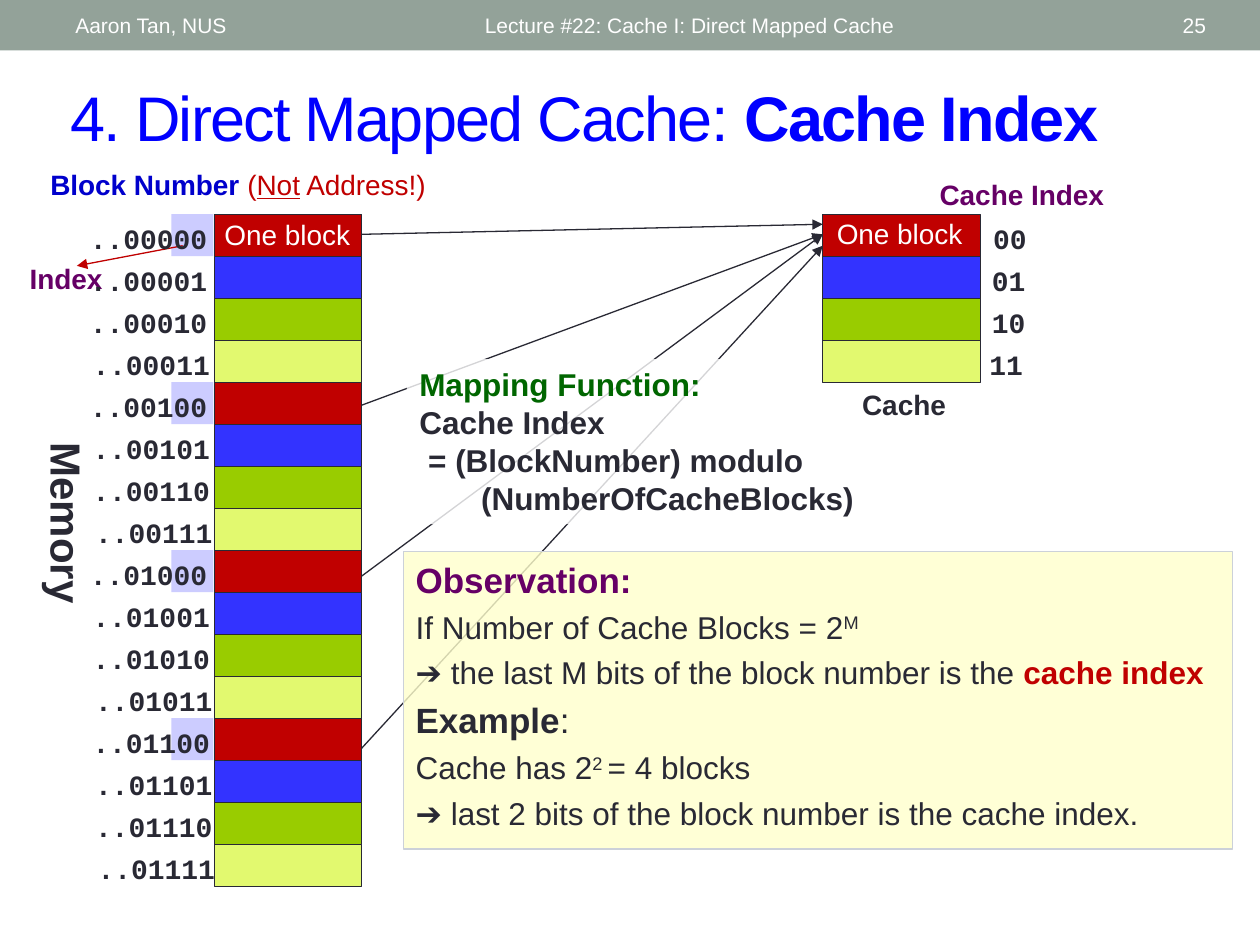
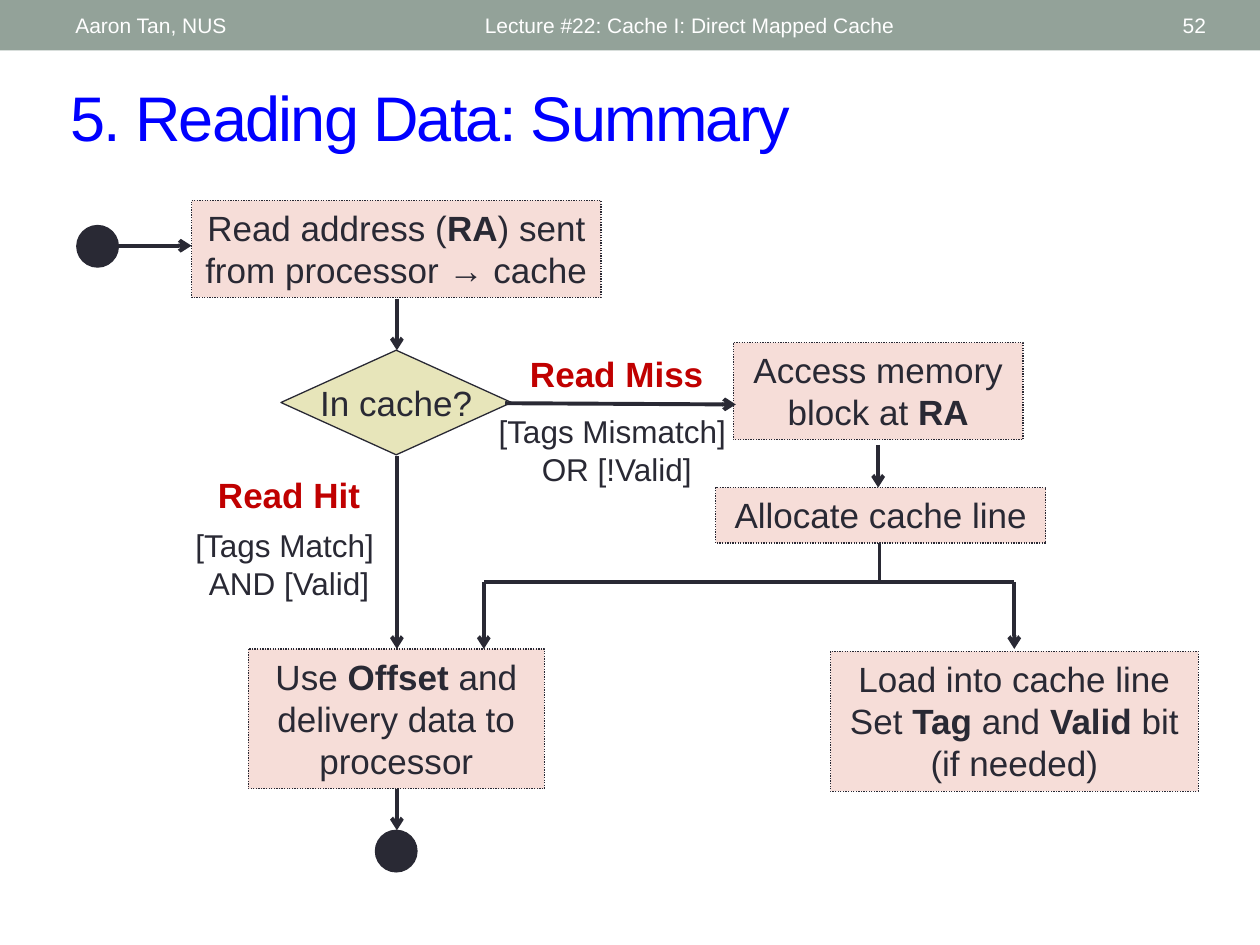
import pptx
import pptx.dml.color
import pptx.enum.dml
import pptx.enum.shapes
import pptx.enum.text
import pptx.oxml.ns
import pptx.util
import lxml.etree

Inches = pptx.util.Inches
Pt = pptx.util.Pt
RGBColor = pptx.dml.color.RGBColor
SHAPE = pptx.enum.shapes.MSO_SHAPE
ALIGN = pptx.enum.text.PP_ALIGN
ANCHOR = pptx.enum.text.MSO_ANCHOR

INK = RGBColor(0x29, 0x29, 0x34)
WHITE = RGBColor(0xFF, 0xFF, 0xFF)
BAND = RGBColor(0x93, 0xA2, 0x99)
TITLE_BLUE = RGBColor(0x00, 0x00, 0xFF)
LABEL_BLUE = RGBColor(0x00, 0x00, 0xCC)
RED = RGBColor(0xC0, 0x00, 0x00)
PURPLE = RGBColor(0x66, 0x00, 0x66)
GREEN = RGBColor(0x00, 0x66, 0x00)
LILAC = RGBColor(0xCC, 0xCC, 0xFF)
CREAM = RGBColor(0xFF, 0xFF, 0xCC)
CREAM_EDGE = RGBColor(0xCC, 0xD1, 0xD9)
STEP_PINK = RGBColor(0xF6, 0xDD, 0xD8)
DECISION = RGBColor(0xE7, 0xE5, 0xBA)
BLOCK_COLORS = [RED, RGBColor(0x33, 0x33, 0xFF), RGBColor(0x99, 0xCC, 0x00), RGBColor(0xE2, 0xF9, 0x6F)]

AUTHOR = "Aaron Tan, NUS"
LECTURE = "Lecture #22: Cache I: Direct Mapped Cache"
BOLD = {"bold": True}
HEADING = {"size": 20, "bold": True}
SUPER = {"baseline": 30000}

MEMORY_BLOCKS = 16
CELL = 1 / 3
BLOCKS_TOP = 1.7
MEMORY_LEFT, MEMORY_WIDTH = 1.7, 1.17
CACHE_LEFT, CACHE_WIDTH = 6.53, 1.25
CACHE_INDEXES = [("00", 7.78), ("01", 7.77), ("10", 7.77), ("11", 7.75)]
MAPPING_ARROWS = [(1.86, 1.78), (3.22, 1.86), (4.58, 1.86), (5.95, 1.95)]
MAPPING = [
    [("Mapping Function:", {"color": GREEN})],
    ["Cache Index"],
    ["= (BlockNumber) modulo"],
    ["(NumberOfCacheBlocks)"],
]
MAPPING_INDENTS = [0, 0, 0.07, 0.49]
OBSERVATION = [
    [("Observation:", HEADING | {"color": PURPLE})],
    ["If Number of Cache Blocks = 2", ("M", SUPER)],
    ["➔ the last M bits of the block number is the ", ("cache index", {"color": RED, "bold": True})],
    [("Example", HEADING), (":", {"size": 20})],
    ["Cache has 2", ("2 ", SUPER), "= 4 blocks"],
    ["➔ last 2 bits of the block number is the cache index."],
]
BLOCK_NUMBER = [[
    ("Block Number ", {"color": LABEL_BLUE, "bold": True}),
    "(", ("Not", {"underline": True}), " Address!) ",
]]

STEPS = [
    ((1.52, 1.59, 3.25, 0.77), [["Read address (", ("RA", BOLD), ") sent from processor → cache"]]),
    ((5.82, 2.72, 2.3, 0.77), [["Access memory block at ", ("RA", BOLD)]]),
    ((1.97, 5.15, 2.35, 1.11), [["Use ", ("Offset", BOLD), " and delivery data to processor"]]),
    ((6.59, 5.17, 2.92, 1.11), [
        ["Load into cache line"],
        ["Set ", ("Tag", BOLD), " and ", ("Valid ", BOLD), "bit (if needed)"],
    ]),
    ((5.68, 3.87, 2.62, 0.44), [["Allocate cache line"]]),
]
TERMINALS = [(0.61, 1.79), (2.98, 6.59)]
FLOW_ARROWS = [
    (0.78, 1.95, 1.52, 1.95),
    (4.01, 3.2, 5.84, 3.21),
    (3.15, 2.37, 3.15, 2.78),
    (3.15, 3.62, 3.15, 5.15),
    (6.97, 3.53, 6.97, 3.87),
    (8.05, 4.62, 8.05, 5.15),
    (3.84, 4.62, 3.84, 5.15),
    (3.15, 6.26, 3.15, 6.59),
]
FORK_LINES = [(8.05, 4.62, 3.84, 4.62), (6.98, 4.2, 6.98, 4.62)]
OUTCOMES = [
    ((1.21, 3.71, 2.17, 1.13), "Read Hit", "[Tags Match] \nAND [Valid]", 6),
    ((3.81, 2.75, 2.17, 1.19), "Read Miss", "[Tags Mismatch] \nOR [!Valid]", 10),
]


def add_run(paragraph, text, size, color, bold=False, font="Arial", underline=None, baseline=None, spacing=None):
    for number, line in enumerate(text.split("\n")):
        if number:
            paragraph.add_line_break()
        run = paragraph.add_run()
        run.text = line
        run.font.name = font
        run.font.size = Pt(size)
        run.font.bold = bold
        run.font.underline = underline
        run.font.color.rgb = color
        properties = run.font._element
        if baseline:
            properties.set("baseline", str(baseline))
        if spacing:
            properties.set("spc", str(spacing))


def write(shape, paragraphs, align=ALIGN.LEFT, anchor=ANCHOR.TOP, wrap=True, gap=0, **style):
    frame = shape.text_frame
    frame.word_wrap = wrap
    frame.vertical_anchor = anchor
    for number, runs in enumerate(paragraphs):
        paragraph = frame.add_paragraph() if number else frame.paragraphs[0]
        paragraph.alignment = align
        paragraph.space_before = Pt(gap)
        for run in runs:
            text, changes = (run, {}) if isinstance(run, str) else run
            add_run(paragraph, text, **(style | changes))


def add_text(slide, box, paragraphs, **style):
    if isinstance(paragraphs, str):
        paragraphs = [[paragraphs]]
    textbox = slide.shapes.add_textbox(*map(Inches, box))
    write(textbox, paragraphs, **style)
    return textbox


def add_label(slide, box, paragraphs, **style):
    style = {"size": 16, "color": INK, "bold": True, "wrap": False} | style
    return add_text(slide, box, paragraphs, align=ALIGN.CENTER, **style)


def add_box(slide, box, fill, line=None, kind=SHAPE.RECTANGLE, opacity=None):
    shape = slide.shapes.add_shape(kind, *map(Inches, box))
    shape.shadow.inherit = False
    shape.fill.solid()
    shape.fill.fore_color.rgb = fill
    if opacity:
        color = shape._element.spPr.find(".//" + pptx.oxml.ns.qn("a:srgbClr"))
        lxml.etree.SubElement(color, pptx.oxml.ns.qn("a:alpha")).set("val", str(opacity * 1000))
    if line is None:
        shape.line.fill.background()
    else:
        shape.line.color.rgb = line
        shape.line.width = Pt(0.75)
    return shape


def add_line(slide, ends, color=INK, width=0.75, head=None):
    connector = slide.shapes.add_connector(pptx.enum.shapes.MSO_CONNECTOR.STRAIGHT, *map(Inches, ends))
    connector.line.color.rgb = color
    connector.line.width = Pt(width)
    properties = connector._element.spPr
    if head:
        outline = properties.find(pptx.oxml.ns.qn("a:ln"))
        lxml.etree.SubElement(outline, pptx.oxml.ns.qn("a:tailEnd")).set("type", head)
    lxml.etree.SubElement(properties, pptx.oxml.ns.qn("a:effectLst"))


def add_base_slide(presentation, number, title):
    slide = presentation.slides.add_slide(presentation.slide_layouts[6])
    add_box(slide, (0, 0, 10, 0.4), BAND)
    add_text(slide, (0.46, 0.57, 9.21, 0.7), [title], anchor=ANCHOR.MIDDLE, size=36, color=TITLE_BLUE, spacing=-100)
    for left, width, text, align in [
        (3.75, 4.5, LECTURE, ALIGN.LEFT),
        (8.72, 0.95, str(number), ALIGN.RIGHT),
        (0.5, 3.17, AUTHOR, ALIGN.LEFT),
    ]:
        add_text(slide, (left, 0.02, width, 0.36), text, align=align, anchor=ANCHOR.MIDDLE, size=12, color=WHITE)
    return slide


def add_blocks(slide, left, width, count):
    for index in range(count):
        color = BLOCK_COLORS[index % len(BLOCK_COLORS)]
        add_box(slide, (left, BLOCKS_TOP + index * CELL, width, CELL), color, INK)


def build_cache_index(presentation):
    slide = add_base_slide(presentation, 25, ["4. Direct Mapped Cache: ", ("Cache Index", BOLD)])
    for start, end in MAPPING_ARROWS:
        add_line(slide, (2.86, start, CACHE_LEFT, end), head="triangle")

    mapping = add_box(slide, (3.23, 2.85, 3.67, 1.31), WHITE, opacity=80)
    write(mapping, MAPPING, size=18, color=INK, bold=True)
    for paragraph, indent in zip(mapping.text_frame.paragraphs, MAPPING_INDENTS):
        paragraph._p.get_or_add_pPr().set("marL", str(Inches(indent)))
    observation = add_box(slide, (3.2, 4.38, 6.58, 2.36), CREAM, CREAM_EDGE, opacity=80)
    write(observation, OBSERVATION, size=18, color=INK, gap=4.4)

    add_label(slide, (0.13, 2.03, 0.79, 0.37), "Index", color=PURPLE)

    for index, (text, left) in enumerate(CACHE_INDEXES):
        add_label(slide, (left, BLOCKS_TOP + 0.01 + index * CELL, 0.47, 0.37), text, font="Courier New")
    add_label(slide, (7.35, 1.36, 1.52, 0.37), "Cache Index", color=PURPLE)
    add_label(slide, (6.74, 3.03, 0.87, 0.37), "Cache")
    add_blocks(slide, CACHE_LEFT, CACHE_WIDTH, len(CACHE_INDEXES))

    add_blocks(slide, MEMORY_LEFT, MEMORY_WIDTH, MEMORY_BLOCKS)
    for index in range(0, MEMORY_BLOCKS, len(CACHE_INDEXES)):
        add_box(slide, (1.36, BLOCKS_TOP + index * CELL, CELL, CELL), LILAC)
    add_line(slide, (1.45, 1.95, 0.61, 2.11), RED, head="triangle")
    for index in range(MEMORY_BLOCKS):
        bits = f"{index:05b}"
        left = 0.61 + 0.02 * max(bits.count("1") - 1, 0)
        add_label(slide, (left, BLOCKS_TOP + 0.01 + index * CELL, 1.14, 0.37), ".." + bits, font="Courier New")
    for left, top in [(6.38, 1.67), (1.52, 1.68)]:
        add_label(slide, (left, top, 1.52, 0.37), "One block", color=WHITE, bold=False, wrap=True)
    add_label(slide, (0.28, 1.28, 3.28, 0.37), BLOCK_NUMBER, color=RED, bold=False)
    memory = add_label(slide, (-0.21, 3.9, 1.49, 0.5), "Memory", size=24)
    memory.rotation = 90


def build_reading_summary(presentation):
    slide = add_base_slide(presentation, 52, ["5. Reading Data: Summary"])
    for left, top in TERMINALS:
        add_box(slide, (left, top, 0.33, 0.33), INK, INK, SHAPE.OVAL)
    for ends in FORK_LINES:
        add_line(slide, ends, width=2.25)
    for box, paragraphs in STEPS:
        step = add_box(slide, box, STEP_PINK, INK)
        step.line.dash_style = pptx.enum.dml.MSO_LINE.ROUND_DOT
        write(step, paragraphs, align=ALIGN.CENTER, size=20, color=INK)
    decision = add_box(slide, (2.23, 2.78, 1.83, 0.83), DECISION, INK, SHAPE.DIAMOND)
    write(decision, [["In cache?"]], ALIGN.CENTER, ANCHOR.MIDDLE, wrap=False, size=20, color=INK)
    for ends in FLOW_ARROWS:
        add_line(slide, ends, width=2.25, head="arrow")
    for box, outcome, condition, gap in OUTCOMES:
        paragraphs = [[(outcome, HEADING | {"color": RED})], [condition]]
        add_text(slide, box, paragraphs, align=ALIGN.CENTER, gap=gap, size=18, color=INK)


def main():
    presentation = pptx.Presentation()
    presentation.slide_width = Inches(10)
    presentation.slide_height = Inches(7.5)
    build_cache_index(presentation)
    build_reading_summary(presentation)
    presentation.save("out.pptx")


if __name__ == "__main__":
    main()
